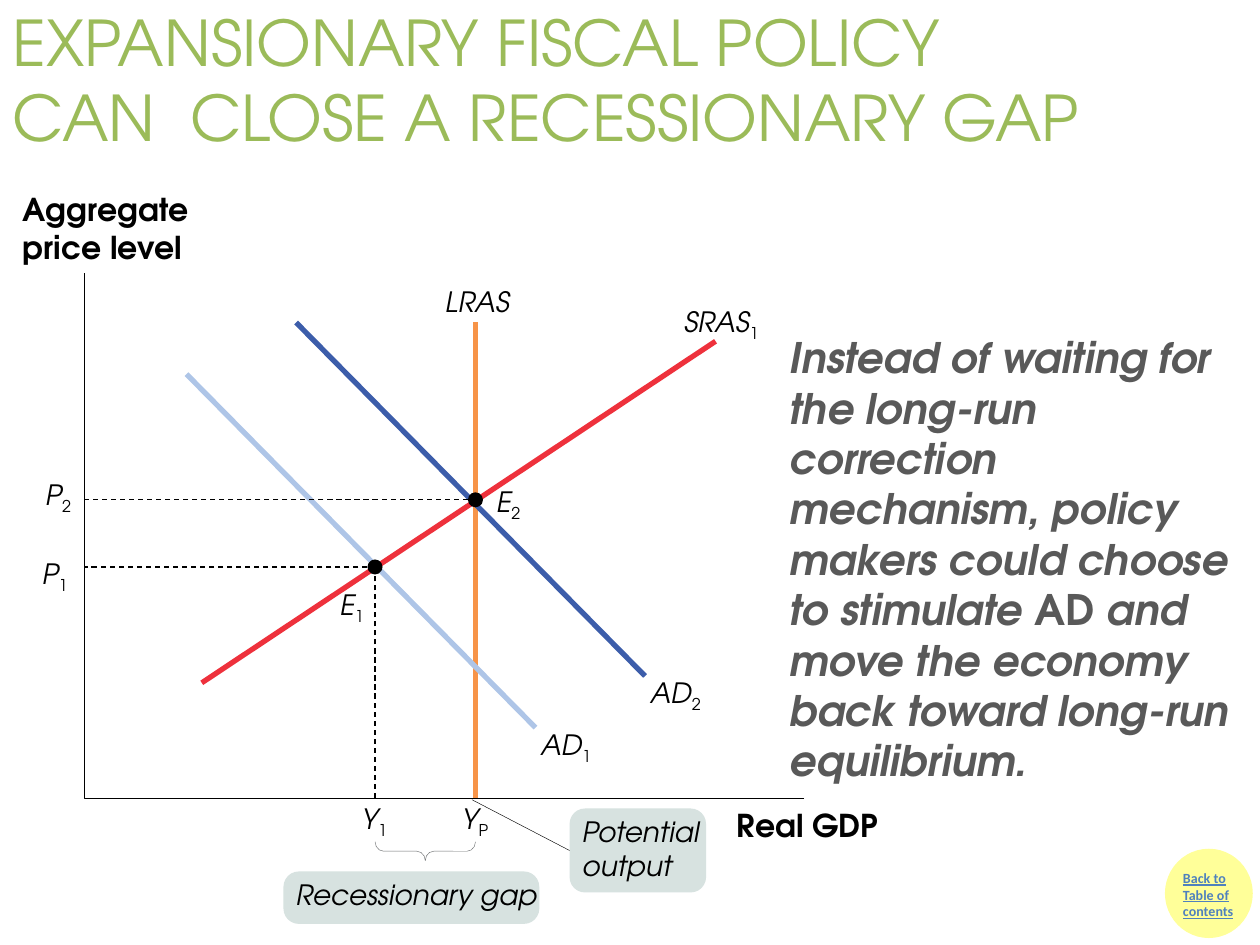
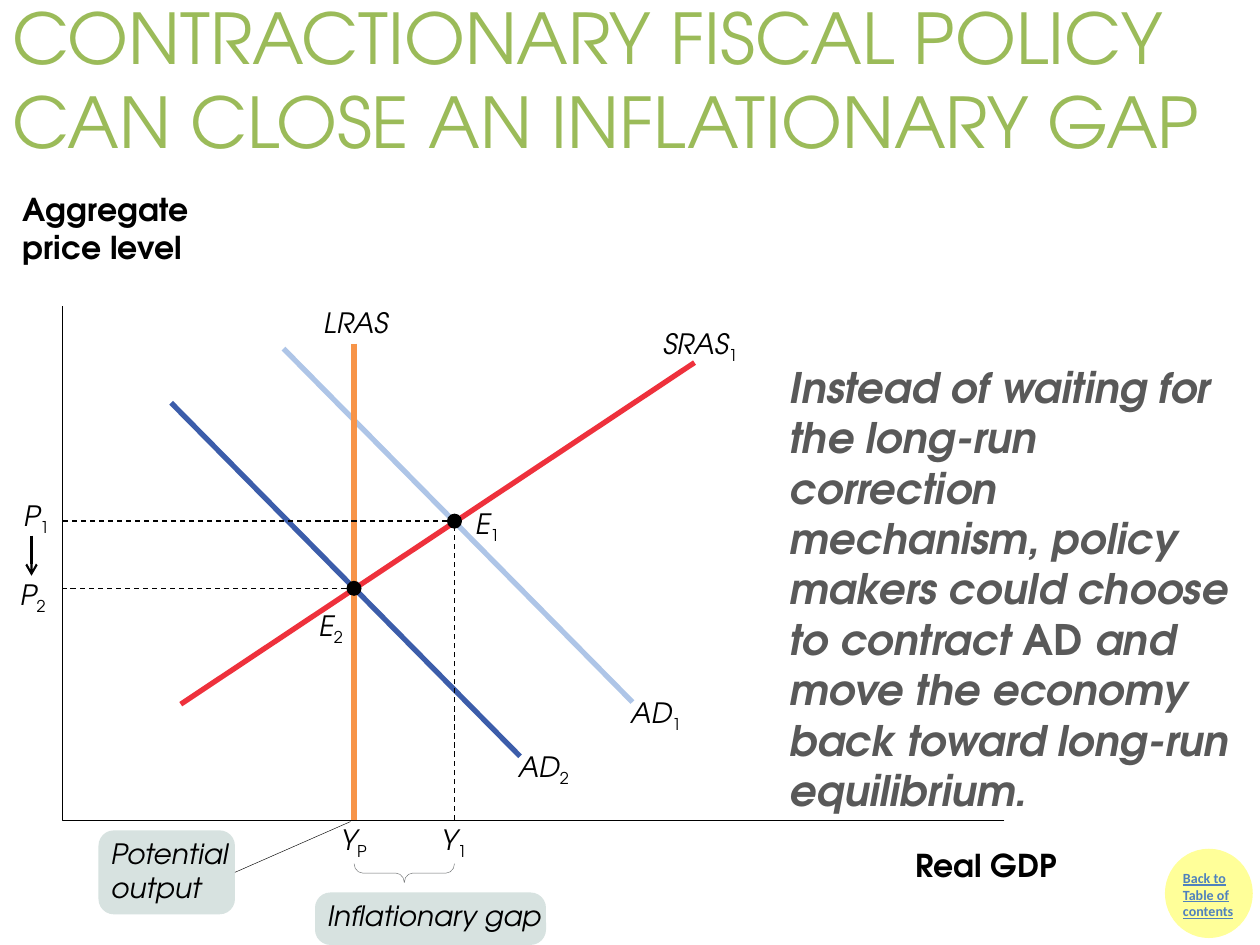
"""Two slides on how fiscal policy closes an output gap."""
from lxml import etree
from pptx import Presentation
from pptx.dml.color import RGBColor
from pptx.enum import dml, shapes, text
from pptx.oxml import ns
from pptx.util import Pt

COLORS = {
    "title": "9BBB59", "body": "595959", "ink": "000000", "link": "4F81BD",
    "button": "FFFF99", "callout": "D7E2E0", "brace": "6D6F71",
    "sras": "EE313C", "lras": "F79448", "AD1": "AEC5E7", "AD2": "3C5DAA",
}
FONT = "TeX Gyre Adventor"
LABEL_WIDTHS = {"Y": 18, "P": 18, "E": 16.6, "AD": 32.4, "SRAS": 46, "LRAS": 40.3}
HAIRLINE = 0.25
GAP_DX, GAP_DY = 57.4, -38.4
AD_DX, AD_DY = 199.4, 202


def rgb(name):
    """Return the named colour."""
    return RGBColor.from_string(COLORS[name])


def style(p, size, color, bold=None, italic=None, font=FONT):
    """Set the font of a whole paragraph."""
    f = p.font
    f.name, f.size, f.bold, f.italic = font, Pt(size), bold, italic
    f.color.rgb = rgb(color)


def add_text(s, x, y, w, h, inset=True):
    """Add an empty text box and return its text frame."""
    tf = s.shapes.add_textbox(Pt(x), Pt(y), Pt(w), Pt(h)).text_frame
    tf.word_wrap = inset
    if not inset:
        tf.auto_size = text.MSO_AUTO_SIZE.SHAPE_TO_FIT_TEXT
        tf.margin_left = tf.margin_right = tf.margin_top = tf.margin_bottom = 0
    return tf


def add_title(s, lines, y, h, size):
    """Add the slide title, one entry for each line."""
    tf = add_text(s, 0, y, 720, h)
    tf.vertical_anchor = text.MSO_ANCHOR.MIDDLE
    p = tf.paragraphs[0]
    for i, line in enumerate(lines):
        if i:
            p.add_line_break()
        p.add_run().text = line
    style(p, size, "title")


def add_body(s, y, verb):
    """Add the explanation beside the diagram."""
    p = add_text(s, 444, y, 276, 269).paragraphs[0]
    style(p, 24, "body", bold=True)
    for words, italic in (
        ("Instead of waiting for the long-run correction mechanism, "
         f"policy makers could choose to {verb} ", True),
        ("AD", False),
        (" and move the economy back toward long-run equilibrium.", True),
    ):
        r = p.add_run()
        r.text, r.font.italic = words, italic


def add_heading(s, words, x, y, w, h):
    """Add a bold axis heading."""
    p = add_text(s, x, y, w, h).paragraphs[0]
    p.text = words
    style(p, 18, "ink", bold=True)


def add_label(s, name, x, y, sub=""):
    """Add an italic symbol with an upright subscript."""
    p = add_text(s, x, y, LABEL_WIDTHS[name], 19.4, inset=False).paragraphs[0]
    style(p, 16, "ink")
    r = p.add_run()
    r.text, r.font.italic = name, True
    if sub:
        r = p.add_run()
        r.text, r.font.italic = sub, False
        r._r.get_or_add_rPr().set("baseline", "-25000")


def add_line(s, x1, y1, x2, y2, color="ink", width=HAIRLINE, dashed=False, arrow=False):
    """Add a straight line without a shadow."""
    c = s.shapes.add_connector(
        shapes.MSO_CONNECTOR.STRAIGHT, Pt(x1), Pt(y1), Pt(x2), Pt(y2))
    c.line.color.rgb, c.line.width = rgb(color), Pt(width)
    if dashed:
        c.line.dash_style = dml.MSO_LINE.DASH
    if arrow:
        etree.SubElement(c.line._get_or_add_ln(), ns.qn("a:tailEnd"), type="arrow")
    etree.SubElement(c._element.spPr, ns.qn("a:effectLst"))
    return c


def add_filled(s, kind, x, y, w, h, color):
    """Add a filled preset shape without an outline."""
    sp = s.shapes.add_shape(kind, Pt(x), Pt(y), Pt(w), Pt(h))
    sp.shadow.inherit = False
    sp.fill.solid()
    sp.fill.fore_color.rgb = rgb(color)
    sp.line.fill.background()
    return sp


def add_dot(s, x, y):
    """Mark an equilibrium point."""
    add_filled(s, shapes.MSO_SHAPE.OVAL, x - 4.3, y - 4.3, 8.6, 8.6, "ink")


def add_callout(s, lines, x, y, w, h):
    """Add a rounded panel under a slightly wider italic note."""
    sp = add_filled(s, shapes.MSO_SHAPE.ROUNDED_RECTANGLE, x, y, w, h, "callout")
    sp.adjustments[0] = 8.8 / h
    tf = add_text(s, x, y, w + 18, h)
    for i, line in enumerate(lines):
        p = tf.add_paragraph() if i else tf.paragraphs[0]
        p.text = line
        style(p, 16, "ink", italic=True)
    return sp


def add_brace(s, x, y, length):
    """Add a horizontal brace that points down."""
    depth = 10.8
    sp = s.shapes.add_shape(
        shapes.MSO_SHAPE.RIGHT_BRACE, Pt(x + (length - depth) / 2),
        Pt(y + (depth - length) / 2), Pt(depth), Pt(length))
    sp.rotation = 90
    sp.adjustments[0] = 0.45
    sp.shadow.inherit = False
    sp.fill.background()
    sp.line.color.rgb, sp.line.width = rgb("brace"), Pt(HAIRLINE)


def add_axes(s, x, y, right, top):
    """Draw both axes as one open outline."""
    fb = s.shapes.build_freeform(Pt(right), Pt(y))
    fb.add_line_segments([(Pt(x), Pt(y)), (Pt(x), Pt(top))], close=False)
    sp = fb.convert_to_shape()
    sp.shadow.inherit = False
    sp.fill.background()
    sp.line.color.rgb, sp.line.width = rgb("ink"), Pt(HAIRLINE)


def add_contents_button(s):
    """Add the round contents button in the corner."""
    sp = add_filled(s, shapes.MSO_SHAPE.OVAL, 666.7, 486, 48.2, 49, "button")
    sp.line.color.rgb, sp.line.width = rgb("button"), Pt(2)
    p = add_text(s, 668.9, 493.2, 51.8, 48.2).paragraphs[0]
    p.text = "Back to Table of contents"
    style(p, 8, "link", bold=True, font="Calibri")
    p.font.underline = True


def add_demand(s, name, start, nudge):
    """Draw a demand curve and its label."""
    x, y = start
    add_line(s, x, y, x + AD_DX, y + AD_DY, name, 3)
    add_label(s, "AD", x + AD_DX + nudge[0], y + AD_DY + nudge[1], name[-1])


def add_diagram(s, axes, low, low_start, high_start, nudge, recession):
    """Draw the diagram and return the position of potential output."""
    ax, ay, right, top = axes
    x, y = low
    hx, hy = x + GAP_DX, y + GAP_DY
    low_no, high_no = ("1", "2") if recession else ("2", "1")
    potential, actual = (hx, x) if recession else (x, hx)
    actual_y = y if recession else hy

    if not recession:
        add_demand(s, "AD" + high_no, high_start, nudge)
    add_line(s, x - 99, y + 66.2, x + 194.6, y - 129, "sras", 3)
    add_line(s, potential, y - 139.8, potential, ay, "lras", 3)
    if recession:
        add_demand(s, "AD" + high_no, high_start, nudge)
    add_demand(s, "AD" + low_no, low_start, nudge)
    add_axes(s, ax, ay, right, top)

    for px, py in ((x, y), (hx, hy)):
        add_line(s, px - 4.3, py, ax, py, width=0.75, dashed=True)
        add_dot(s, px, py)
    add_line(s, actual, ay, actual, actual_y + 2.5, width=0.75, dashed=True)

    add_label(s, "SRAS", x + 176.6, y - 149.8, "1")
    add_label(s, "LRAS", potential - 17.3, y - 161.5)
    add_label(s, "E", x - 20, y + 11.5, low_no)
    add_label(s, "E", hx + 12, hy - 8.5, high_no)
    add_label(s, "P", ax - 24, y - 6, low_no)
    add_label(s, "P", ax - 22, hy - 12.7, high_no)
    add_label(s, "Y", potential - 7.7, ay + 1.8, "P")
    add_label(s, "Y", actual - 7.7, ay + 1.8, "1")
    add_brace(s, x, ay + 25, GAP_DX)
    return potential


def add_potential_note(s, x, axis_y, potential, side):
    """Add the potential output note and join it to the axis."""
    sp = add_callout(s, ["Potential", "output"], x, axis_y + 6, 78, 48)
    c = add_line(s, potential - 2, axis_y + 1, x, axis_y + 30)
    c.end_connect(sp, side)


def add_slide(prs):
    """Add a blank slide with the shared parts."""
    s = prs.slides.add_slide(prs.slide_layouts[6])
    add_contents_button(s)
    add_heading(s, "Aggregate price level", 6, 105, 120, 50)
    return s


def main():
    """Build both slides and save them."""
    prs = Presentation()
    prs.slide_width, prs.slide_height = Pt(720), Pt(540)

    s = add_slide(prs)
    add_title(s, ["EXPANSIONARY FISCAL POLICY", "CAN  CLOSE A RECESSIONARY GAP"],
              12, 66, 36)
    potential = add_diagram(s, (48, 456, 459.5, 156), (214.3, 324),
                            (106.6, 213.8), (169.2, 184.3), (3, 0), recession=True)
    add_potential_note(s, 325.5, 456, potential, 1)
    add_callout(s, ["Recessionary gap"], 162, 498, 146.2, 30)
    add_heading(s, "Real GDP", 414, 457, 114, 29)
    add_body(s, 186, "stimulate")

    s = add_slide(prs)
    add_title(s, ["CONTRACTIONARY FISCAL POLICY", "CAN CLOSE AN INFLATIONARY GAP"],
              0, 90, 40)
    potential = add_diagram(s, (35.5, 468.5, 574, 175), (202.3, 336.2),
                            (97.8, 230.2), (162, 199.2), (-1, -3.6), recession=False)
    add_potential_note(s, 56.3, 468.5, potential, 3)
    add_callout(s, ["Inflationary gap"], 180, 510, 132, 30)
    add_line(s, 18, 306, 18, 329, width=1.25, arrow=True)
    add_heading(s, "Real GDP", 516, 480, 114, 29)
    add_body(s, 203, "contract")

    prs.save("out.pptx")


if __name__ == "__main__":
    main()
